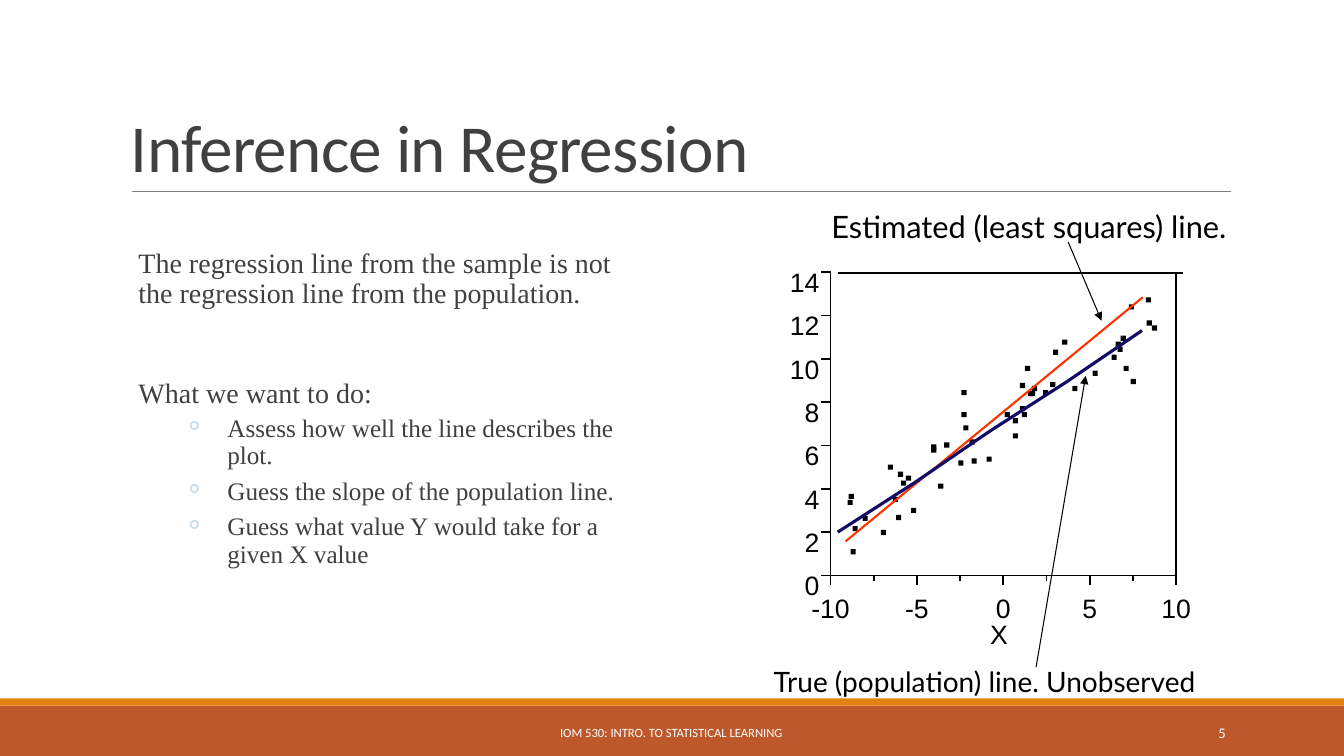
from dataclasses import dataclass
from typing import Optional

from lxml.etree import SubElement
from pptx import Presentation
from pptx.dml.color import RGBColor
from pptx.enum.shapes import MSO_CONNECTOR, MSO_SHAPE
from pptx.enum.text import MSO_ANCHOR, PP_ALIGN
from pptx.oxml.ns import qn
from pptx.slide import Slide
from pptx.text.text import TextFrame
from pptx.util import Cm, Pt

BLACK = RGBColor(0x00, 0x00, 0x00)
WHITE = RGBColor(0xFF, 0xFF, 0xFF)
DARK = RGBColor(0x40, 0x40, 0x40)
GRAY = RGBColor(0x80, 0x80, 0x80)
RUST = RGBColor(0xBD, 0x58, 0x2C)
ORANGE = RGBColor(0xE4, 0x83, 0x12)
RED = RGBColor(0xFF, 0x33, 0x00)
NAVY = RGBColor(0x12, 0x0C, 0x66)
BULLET = RGBColor(0xCC, 0xDD, 0xEA)

SERIF = "Times New Roman"
WIDTH, HEIGHT = 33.87, 19.05
PLOT_LEFT, PLOT_TOP, PLOT_WIDTH, PLOT_HEIGHT = 20.93, 6.86, 8.71, 7.64
PLOT_RIGHT, PLOT_BOTTOM = PLOT_LEFT + PLOT_WIDTH, PLOT_TOP + PLOT_HEIGHT
X_MIN, X_MAX, Y_MAX = -10, 10, 14
MARKER = 0.13
DIGIT, LABEL_HEIGHT = 0.4, 0.76

OBSERVATIONS = [
    (6.94, 10.95), (-5.48, 4.49), (-0.82, 5.37), (-2.27, 8.44), (7.41, 12.4),
    (-6.53, 5), (-4.02, 5.93), (-5.77, 4.26), (0.23, 7.42), (-1.69, 5.28),
    (0.7, 7.14), (0.7, 6.44), (-2.27, 7.42), (1.22, 7.42), (-6.94, 1.98),
    (1.11, 7.7), (2.86, 8.81), (5.31, 9.33), (1.81, 8.63), (-2.45, 5.19),
    (6.76, 10.44), (2.45, 8.44), (-4.02, 5.79), (4.14, 8.63), (1.69, 8.4),
    (6.41, 10.07), (8.4, 12.72), (8.45, 11.65), (-7.99, 2.63), (6.65, 10.67),
    (8.75, 11.42), (3.56, 10.77), (-6.06, 2.67), (-3.27, 6.02), (-5.95, 4.67),
    (-3.62, 4.12), (7.52, 8.95), (1.4, 9.56), (-8.57, 2.16), (-5.19, 3),
    (-8.86, 3.37), (-2.16, 6.81), (3.03, 10.3), (1.11, 8.77), (1.57, 8.4),
    (-6.24, 3.51), (7.11, 9.56), (-8.69, 1.09), (-8.8, 3.65), (-1.81, 6.16),
]
POPULATION = [(21.11, 13.41), (23.04, 12.17), (24.94, 10.87), (26.87, 9.63), (28.78, 8.33)]


@dataclass
class Box:
    left: float
    top: float
    width: float
    height: float


@dataclass
class Stroke:
    x1: float
    y1: float
    x2: float
    y2: float
    color: RGBColor = BLACK
    width: float = 1.25
    arrow: bool = False


def plot_x(value: float) -> float:
    return PLOT_LEFT + (value - X_MIN) / (X_MAX - X_MIN) * PLOT_WIDTH


def plot_y(value: float) -> float:
    return PLOT_BOTTOM - value / Y_MAX * PLOT_HEIGHT


def add_rect(s: Slide, box: Box, color: RGBColor) -> None:
    sp = s.shapes.add_shape(MSO_SHAPE.RECTANGLE, Cm(box.left), Cm(box.top),
                            Cm(box.width), Cm(box.height))
    sp.shadow.inherit = False
    sp.fill.solid()
    sp.fill.fore_color.rgb = color
    sp.line.fill.background()


def add_stroke(s: Slide, stroke: Stroke) -> None:
    cn = s.shapes.add_connector(MSO_CONNECTOR.STRAIGHT, Cm(stroke.x1), Cm(stroke.y1),
                                Cm(stroke.x2), Cm(stroke.y2))
    cn.line.color.rgb = stroke.color
    cn.line.width = Pt(stroke.width)
    if stroke.arrow:
        SubElement(cn.line._get_or_add_ln(), qn("a:tailEnd"), type="triangle")
    SubElement(cn._element.spPr, qn("a:effectLst"))


def add_frame(s: Slide, box: Box, anchor: MSO_ANCHOR = MSO_ANCHOR.TOP, wrap: bool = True,
              inset_x: float = 0.25, inset_y: float = 0.13) -> TextFrame:
    tf = s.shapes.add_textbox(Cm(box.left), Cm(box.top), Cm(box.width), Cm(box.height)).text_frame
    tf.word_wrap = wrap
    tf.vertical_anchor = anchor
    tf.margin_left = tf.margin_right = Cm(inset_x)
    tf.margin_top = tf.margin_bottom = Cm(inset_y)
    return tf


def add_text(tf: TextFrame, text: str, *, size: float, font: str = "Calibri",
             color: RGBColor = BLACK, align: PP_ALIGN = PP_ALIGN.LEFT, spacing: float = 1,
             before: float = 0, after: float = 0, bullet: Optional[str] = None,
             tracking: Optional[int] = None) -> None:
    p = tf.paragraphs[0] if not tf.text else tf.add_paragraph()
    if bullet:
        pPr = p._p.get_or_add_pPr()
        pPr.set("marL", str(Cm(2.24)))
        pPr.set("indent", str(Cm(-0.97)))
        SubElement(SubElement(pPr, qn("a:buClr")), qn("a:srgbClr"), val=str(BULLET))
        SubElement(pPr, qn("a:buSzPct"), val="50000")
        SubElement(pPr, qn("a:buFont"), typeface="Wingdings")
        SubElement(pPr, qn("a:buChar"), char=bullet)
        p.level = 1
    p.alignment = align
    p.line_spacing = spacing
    p.space_before, p.space_after = Pt(before), Pt(after)
    r = p.add_run()
    r.text = text
    r.font.size = Pt(size)
    r.font.name = font
    r.font.color.rgb = color
    if tracking is not None:
        r._r.get_or_add_rPr().set("spc", str(tracking))


def add_axis_label(s: Slide, text: str, left: float, top: float, align: PP_ALIGN) -> None:
    tf = add_frame(s, Box(left, top, DIGIT * len(text), LABEL_HEIGHT),
                   wrap=False, inset_x=0, inset_y=0)
    add_text(tf, text, size=19, font="Arial", align=align)


def draw_layout(s: Slide) -> None:
    add_rect(s, Box(0, 17.78, WIDTH, 1.27), RUST)
    add_rect(s, Box(0, 17.6, WIDTH, 0.18), ORANGE)
    add_stroke(s, Stroke(3.33, 4.83, 31.01, 4.83, GRAY, 0.5))
    add_text(add_frame(s, Box(3.05, 0.79, 27.94, 4.04), MSO_ANCHOR.BOTTOM),
             "Inference in Regression", size=48, color=DARK, spacing=0.85, tracking=-50)
    add_text(add_frame(s, Box(10.22, 17.94, 13.39, 1.02), MSO_ANCHOR.MIDDLE),
             "IOM 530: INTRO. TO STATISTICAL LEARNING", size=9, color=WHITE, align=PP_ALIGN.CENTER)
    add_text(add_frame(s, Box(27.51, 17.94, 3.63, 1.02), MSO_ANCHOR.MIDDLE),
             "5", size=10.5, color=WHITE, align=PP_ALIGN.RIGHT)


def draw_body(s: Slide) -> None:
    tf = add_frame(s, Box(3.49, 6.15, 12.12, 12.9), inset_x=0)
    add_text(tf, "The regression line from the sample is not the regression line from the population.",
             size=20, font=SERIF, color=DARK, spacing=0.9, after=2)
    add_text(tf, "What we want to do:", size=20, font=SERIF, color=DARK, spacing=0.9,
             before=48, after=2)
    for goal in ("Assess how well the line describes the plot.",
                 "Guess the slope of the population line.",
                 "Guess what value Y would take for a given X value"):
        add_text(tf, goal, size=18, font=SERIF, color=DARK, spacing=0.9,
                 before=2, after=4, bullet="➢")


def draw_plot(s: Slide) -> None:
    add_rect(s, Box(PLOT_LEFT, PLOT_TOP, PLOT_WIDTH, PLOT_HEIGHT), WHITE)
    for value in range(0, Y_MAX + 1, 2):
        y, text = plot_y(value), str(value)
        add_stroke(s, Stroke(PLOT_LEFT, y, PLOT_LEFT - 0.25, y))
        add_axis_label(s, text, 20.65 - DIGIT * len(text), y - 0.16, PP_ALIGN.RIGHT)
    for x, y in OBSERVATIONS:
        add_rect(s, Box(plot_x(x) - MARKER / 2, plot_y(y) - MARKER / 2, MARKER, MARKER), BLACK)
    for side in (Stroke(21.11, 6.88, 29.82, 6.88),
                 Stroke(PLOT_RIGHT, PLOT_TOP, PLOT_RIGHT, PLOT_BOTTOM),
                 Stroke(PLOT_RIGHT, PLOT_BOTTOM, PLOT_LEFT, PLOT_BOTTOM),
                 Stroke(PLOT_LEFT, PLOT_BOTTOM, PLOT_LEFT, PLOT_TOP)):
        add_stroke(s, side)
    for i in range(9):
        value = X_MIN + 2.5 * i
        x, major = plot_x(value), i % 2 == 0
        add_stroke(s, Stroke(x, PLOT_BOTTOM, x, PLOT_BOTTOM + (0.25 if major else 0.13)))
        if major:
            text = f"{value:.0f}"
            add_axis_label(s, text, x - DIGIT * len(text) / 2, 14.91, PP_ALIGN.CENTER)
    add_axis_label(s, "X", 24.95, 15.57, PP_ALIGN.CENTER)


def draw_regression_lines(s: Slide) -> None:
    add_stroke(s, Stroke(21.31, 13.64, 28.8, 7.49, RED, 1.5))
    add_text(add_frame(s, Box(20.7, 5.11, 11.23, 1.12)),
             "Estimated (least squares) line.", size=22, font="Lato")
    add_stroke(s, Stroke(26.92, 6.1, 27.76, 8.08, width=0.75, arrow=True))
    start, *rest = [(Cm(x), Cm(y)) for x, y in POPULATION]
    fb = s.shapes.build_freeform(*start)
    fb.add_line_segments(rest, close=False)
    sp = fb.convert_to_shape()
    sp.shadow.inherit = False
    sp.fill.background()
    sp.line.color.rgb = NAVY
    sp.line.width = Pt(2.25)
    add_text(add_frame(s, Box(19.25, 16.61, 13.51, 1.04)),
             "True (population) line. Unobserved", size=20, font="Lato")
    add_stroke(s, Stroke(26.11, 16.81, 27.36, 9.47, width=0.75, arrow=True))


def main() -> None:
    prs = Presentation()
    prs.slide_width, prs.slide_height = Cm(WIDTH), Cm(HEIGHT)
    s = prs.slides.add_slide(prs.slide_layouts[6])
    draw_layout(s)
    draw_body(s)
    draw_plot(s)
    draw_regression_lines(s)
    prs.save("out.pptx")


if __name__ == "__main__":
    main()
